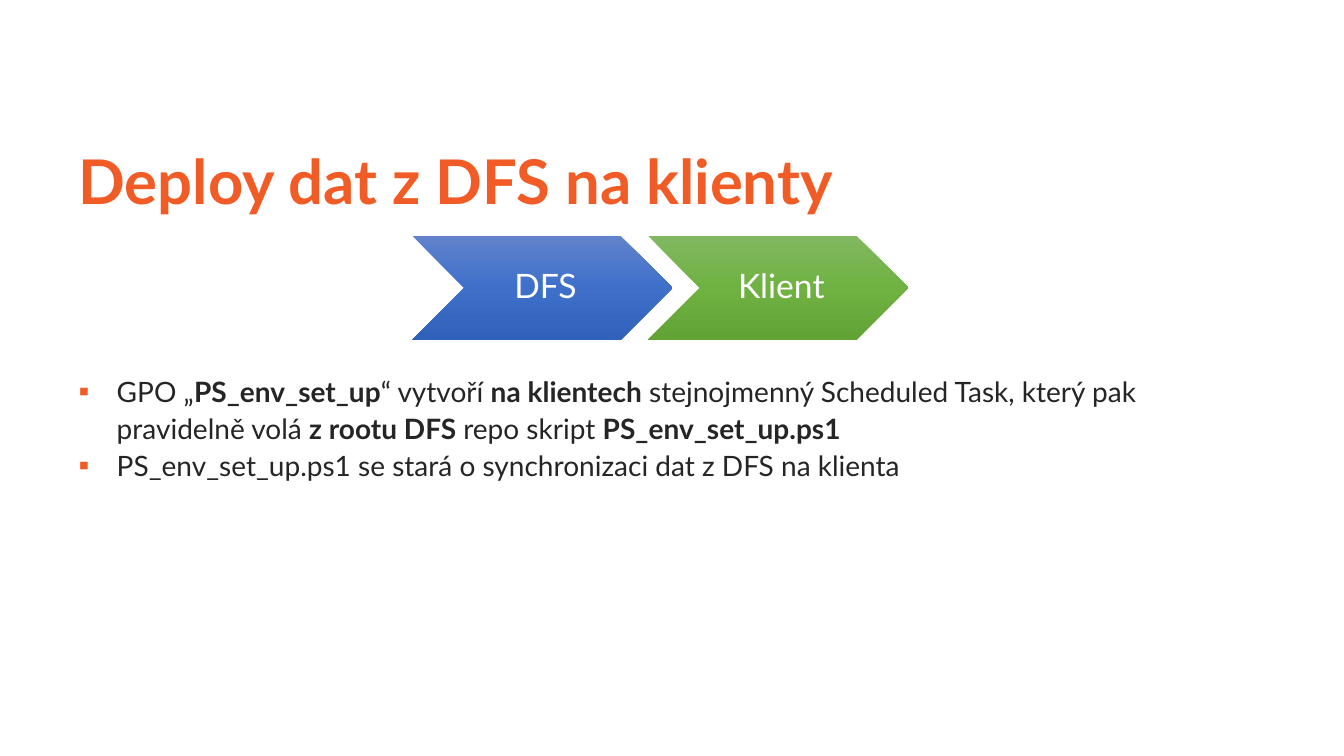
import copy

import pptx
import pptx.dml.color
import pptx.enum.shapes
import pptx.enum.text
import pptx.oxml
import pptx.oxml.ns
import pptx.util

Inches, Pt = pptx.util.Inches, pptx.util.Pt
FONT = "Lato"
COLORS = {"orange": "F05B26", "text": "262524", "white": "FFFFFF"}
GRADIENTS = {
    "DFS": ["6183CB", "3E70CA", "3062BB"],
    "Klient": ["81B861", "6FB242", "62A336"],
}


def style(paragraph, size, color, line_spacing):
    paragraph.font.name = FONT
    paragraph.font.size = Pt(size)
    paragraph.font.color.rgb = pptx.dml.color.RGBColor.from_string(COLORS[color])
    paragraph.line_spacing = line_spacing


presentation = pptx.Presentation()
presentation.slide_width = Inches(13.33)
presentation.slide_height = Inches(7.5)
slide = presentation.slides.add_slide(presentation.slide_layouts[6])

# Title
title = slide.shapes.add_textbox(Inches(0.68), Inches(1.48), Inches(11.97), Inches(0.7)).text_frame
title.word_wrap = True
title.vertical_anchor = pptx.enum.text.MSO_ANCHOR.MIDDLE
title.text = "Deploy dat z DFS na klienty"
style(title.paragraphs[0], 44, "orange", 0.9)
title.paragraphs[0].font.bold = True

# Explanation: alternating regular and bold pieces
explanation = slide.shapes.add_textbox(
    Inches(0.68), Inches(3.63), Inches(11.97), Inches(3.11)).text_frame
explanation.word_wrap = True
points = [
    ["GPO „", "PS_env_set_up", "“ vytvoří ", "na klientech",
     " stejnojmenný Scheduled Task, který pak pravidelně volá ",
     "z rootu DFS ", "repo skript ", "PS_env_set_up.ps1"],
    ["PS_env_set_up.ps1 se stará o synchronizaci dat z DFS na klienta"],
]
for number, pieces in enumerate(points):
    point = explanation.paragraphs[0] if number == 0 else explanation.add_paragraph()
    for position, piece in enumerate(pieces):
        run = point.add_run()
        run.text = piece
        run.font.bold = position % 2 == 1
    style(point, 20, "text", 1.1)

    # Orange square bullet with hanging indent
    properties = point._p.get_or_add_pPr()
    properties.set("marL", str(Inches(0.38)))
    properties.set("indent", str(-Inches(0.38)))
    namespace = pptx.oxml.ns.nsdecls("a")
    bullet_parts = [
        f'<a:buClr {namespace}><a:srgbClr val="{COLORS["orange"]}"/></a:buClr>',
        f'<a:buFont {namespace} typeface="{FONT}"/>',
        f'<a:buChar {namespace} char="▪"/>',
    ]
    defaults = properties.find(pptx.oxml.ns.qn("a:defRPr"))
    for part in bullet_parts:
        defaults.addprevious(pptx.oxml.parse_xml(part))

# Flow from DFS to client
for step, (label, gradient) in enumerate(GRADIENTS.items()):
    chevron = slide.shapes.add_shape(
        pptx.enum.shapes.MSO_SHAPE.CHEVRON,
        Inches(4.09 + step * 2.34), Inches(2.34), Inches(2.58), Inches(1.03))
    chevron.shadow.inherit = False
    chevron.line.fill.background()

    # Three-stop vertical gradient
    chevron.fill.gradient()
    chevron.fill.gradient_angle = 270
    stop_list = chevron._element.spPr.find(".//" + pptx.oxml.ns.qn("a:gsLst"))
    stop_list.insert(1, copy.deepcopy(stop_list[0]))
    for index, (stop, color) in enumerate(zip(chevron.fill.gradient_stops, gradient)):
        stop.position = index / 2
        stop.color.rgb = pptx.dml.color.RGBColor.from_string(color)

    label_frame = chevron.text_frame
    label_frame.margin_left = Inches(0.1)
    label_frame.margin_right = Inches(0.04)
    label_frame.margin_top = label_frame.margin_bottom = Inches(0.04)
    label_frame.vertical_anchor = pptx.enum.text.MSO_ANCHOR.MIDDLE
    label_frame.text = label
    label_frame.paragraphs[0].alignment = pptx.enum.text.PP_ALIGN.CENTER
    style(label_frame.paragraphs[0], 24, "white", 0.9)

presentation.save("out.pptx")
